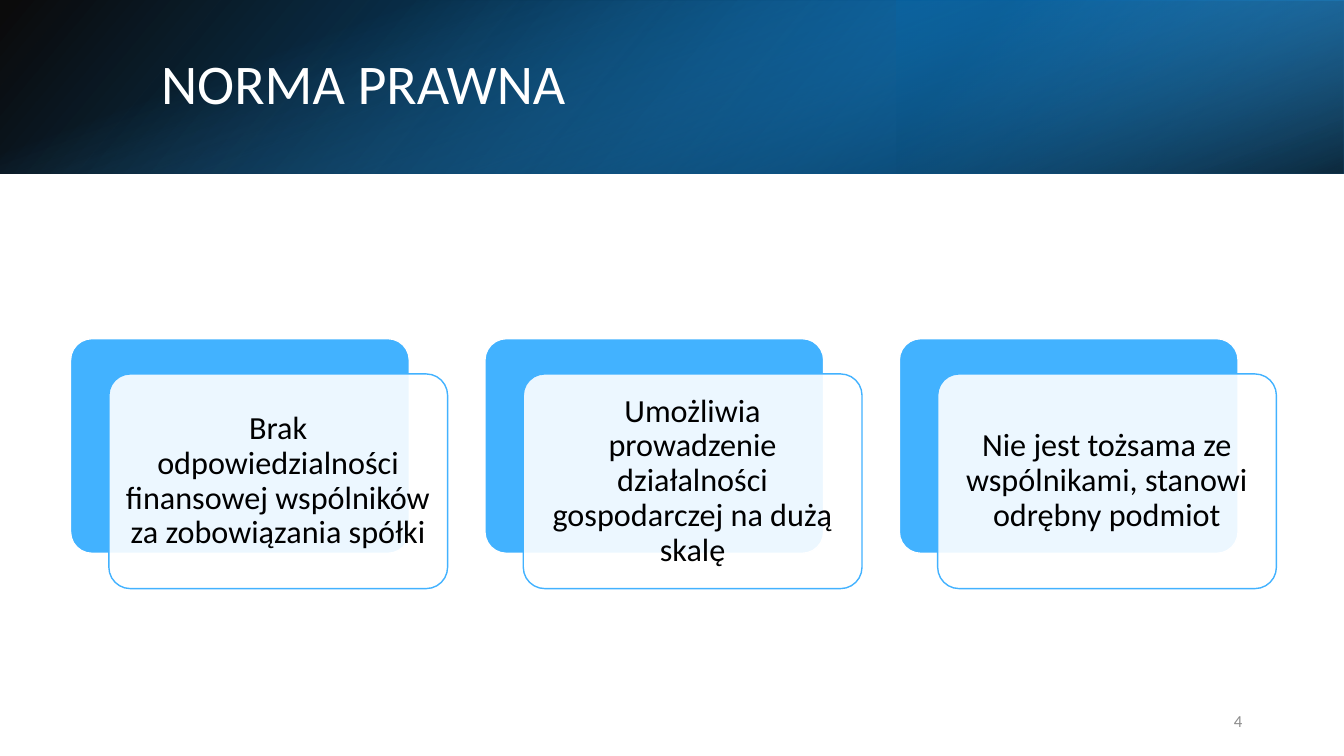
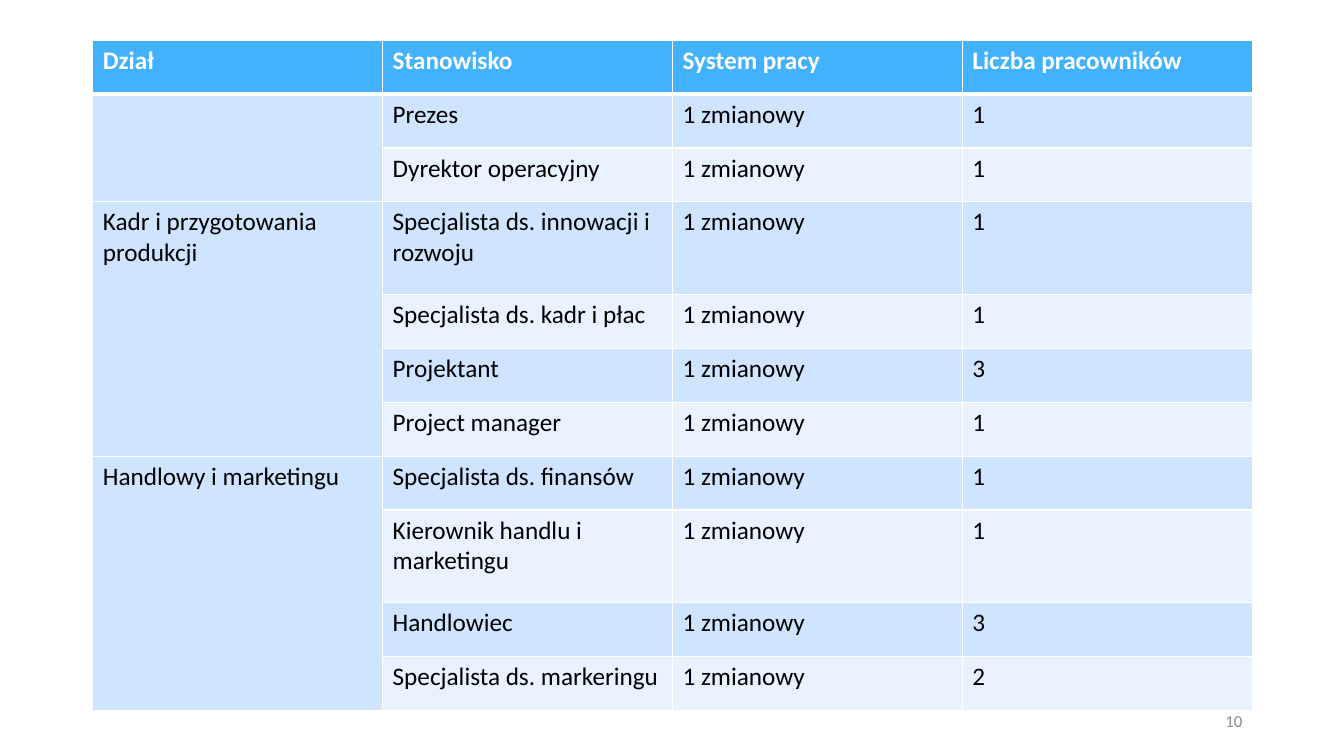
from pptx import Presentation
from pptx.dml.color import RGBColor
from pptx.enum.shapes import MSO_SHAPE
from pptx.enum.text import MSO_ANCHOR, PP_ALIGN
from pptx.oxml import parse_xml
from pptx.oxml.ns import nsdecls, qn
from pptx.util import Inches, Pt

FONT = "Calibri"
COLORS = {
    "white": "FFFFFF", "black": "000000", "accent": "42B2FF", "bright": "008FF1",
    "deep": "005FA0", "band_dark": "CFE4FF", "band_light": "E9F2FF", "muted": "8C8C8C",
}

# Content
TITLE = "NORMA PRAWNA"
CARDS = [
    "Brak odpowiedzialności finansowej wspólników za zobowiązania spółki",
    "Umożliwia prowadzenie działalności gospodarczej na dużą skalę",
    "Nie jest tożsama ze wspólnikami, stanowi odrębny podmiot",
]
HEADER = ["Dział", "Stanowisko", "System pracy", "Liczba pracowników"]
SHIFT = "1 zmianowy"
DEPARTMENTS = [
    ("", [("Prezes", 1), ("Dyrektor operacyjny", 1)]),
    ("Kadr i przygotowania produkcji", [
        ("Specjalista ds. innowacji i rozwoju", 1), ("Specjalista ds. kadr i płac", 1),
        ("Projektant", 3), ("Project manager", 1)]),
    ("Handlowy i marketingu", [
        ("Specjalista ds. finansów", 1), ("Kierownik handlu i marketingu", 1),
        ("Handlowiec", 3), ("Specjalista ds. markeringu", 2)]),
]
TWO_LINE_POSITIONS = {"Specjalista ds. innowacji i rozwoju", "Kierownik handlu i marketingu"}

# Banner layers: box, rotation, flipped, angle (clockwise), (position %, colour, opacity %)
BANNER = [
    ((0, 0, 13.33, 1.72), 0, True, 140, [(0, "black", 96), (100, "bright", 100)]),
    ((8.89, 0, 4.44, 1.72), 180, True, 320, [(19, "deep", 68), (100, "accent", 79)]),
    ((5.8, -5.8, 1.72, 13.33), 90, False, 340, [(23, "accent", 0), (99, "black", 74)]),
]


def rgb(name):
    return RGBColor.from_string(COLORS[name])


def set_alpha(color_element, percent):
    color_element.append(parse_xml(f'<a:alpha {nsdecls("a")} val="{percent * 1000}"/>'))


def style(paragraph, size, color, align=None, bold=False):
    paragraph.alignment = align
    font = paragraph.font
    font.name, font.size, font.bold = FONT, Pt(size), bold
    font.color.rgb = rgb(color)


def add_text(slide, box, text, size, color, align=None):
    frame = slide.shapes.add_textbox(*map(Inches, box)).text_frame
    frame.word_wrap = True
    frame.vertical_anchor = MSO_ANCHOR.MIDDLE
    frame.text = text
    style(frame.paragraphs[0], size, color, align)
    return frame


def add_slide(presentation):
    return presentation.slides.add_slide(presentation.slide_layouts[6])


def add_page_number(slide, number):
    add_text(slide, (9.42, 6.95, 3, 0.4), str(number), 12, "muted", PP_ALIGN.RIGHT)


def add_banner(slide):
    for box, rotation, flipped, angle, stops in BANNER:
        layer = slide.shapes.add_shape(MSO_SHAPE.RECTANGLE, *map(Inches, box))
        layer.shadow.inherit = False
        layer.line.fill.background()
        layer.rotation = rotation
        properties = layer._element.spPr
        if flipped:
            properties.find(qn("a:xfrm")).set("flipH", "1")
        layer.fill.gradient()
        layer.fill.gradient_angle = 360 - angle
        for stop, (position, color, _) in zip(layer.fill.gradient_stops, stops):
            stop.position = position / 100
            stop.color.rgb = rgb(color)
        for element, (_, _, opacity) in zip(properties.iter(qn("a:srgbClr")), stops):
            set_alpha(element, opacity)


def add_card_layer(slide, left, top, fill, line):
    layer = slide.shapes.add_shape(
        MSO_SHAPE.ROUNDED_RECTANGLE, Inches(left), Inches(top), Inches(3.36), Inches(2.13))
    layer.adjustments[0] = 0.1
    layer.shadow.inherit = False
    layer.fill.solid()
    layer.fill.fore_color.rgb = rgb(fill)
    layer.line.color.rgb = rgb(line)
    layer.line.width = Pt(1)
    return layer


def add_card(slide, left, text):
    add_card_layer(slide, left, 3.36, "accent", "white")
    front = add_card_layer(slide, left + 0.38, 3.71, "white", "accent")
    set_alpha(front._element.spPr.find(qn("a:solidFill"))[0], 90)
    frame = front.text_frame
    frame.word_wrap = True
    frame.vertical_anchor = MSO_ANCHOR.MIDDLE
    frame.margin_left = frame.margin_right = Inches(0.1)
    frame.margin_top = frame.margin_bottom = Inches(0.1)
    frame.text = text
    style(frame.paragraphs[0], 23, "black", PP_ALIGN.CENTER)
    frame.paragraphs[0].line_spacing = 0.9


def set_borders(cell, bottom):
    properties = cell._tc.get_or_add_tcPr()
    for index, (side, width) in enumerate([("L", 1), ("R", 1), ("T", 1), ("B", bottom)]):
        properties.insert(index, parse_xml(
            f'<a:ln{side} {nsdecls("a")} w="{Pt(width)}"><a:solidFill>'
            f'<a:srgbClr val="{COLORS["white"]}"/></a:solidFill></a:ln{side}>'))


def add_staff_table(slide):
    rows = [HEADER]
    merges = []
    for department, positions in DEPARTMENTS:
        merges.append((len(rows), len(rows) + len(positions) - 1))
        for index, (position, count) in enumerate(positions):
            rows.append([department if index == 0 else "", position, SHIFT, str(count)])

    width, height, tall = 11.5, 6.65, 0.92
    normal = (height - tall * len(TWO_LINE_POSITIONS)) / (len(rows) - len(TWO_LINE_POSITIONS))
    table = slide.shapes.add_table(
        len(rows), len(HEADER), Inches(0.92), Inches(0.4), Inches(width), Inches(height)).table
    for column in table.columns:
        column.width = Inches(width / len(HEADER))

    for row_index, row in enumerate(rows):
        is_header = row_index == 0
        table.rows[row_index].height = Inches(tall if row[1] in TWO_LINE_POSITIONS else normal)
        band = "accent" if is_header else "band_dark" if row_index % 2 else "band_light"
        for column_index, text in enumerate(row):
            cell = table.cell(row_index, column_index)
            cell.fill.solid()
            # The merged department column keeps one tone
            cell.fill.fore_color.rgb = rgb(
                "band_dark" if column_index == 0 and not is_header else band)
            # The rule under the header is thicker
            set_borders(cell, 3 if is_header else 1)
            cell.text = text
            style(cell.text_frame.paragraphs[0], 18,
                  "white" if is_header else "black", bold=is_header)
    for first, last in merges:
        table.cell(first, 0).merge(table.cell(last, 0))


def main():
    presentation = Presentation()
    presentation.slide_width, presentation.slide_height = Inches(13.33), Inches(7.5)

    # Features of the company form
    slide = add_slide(presentation)
    add_banner(slide)
    title = add_text(slide, (1.5, 0.38, 10.98, 0.96), TITLE, 40, "white")
    title.paragraphs[0].line_spacing = 0.9
    for index, text in enumerate(CARDS):
        add_card(slide, 0.7 + index * 4.11, text)
    add_page_number(slide, 4)

    # Staff by department
    slide = add_slide(presentation)
    add_staff_table(slide)
    add_page_number(slide, 10)

    presentation.save("out.pptx")


if __name__ == "__main__":
    main()
